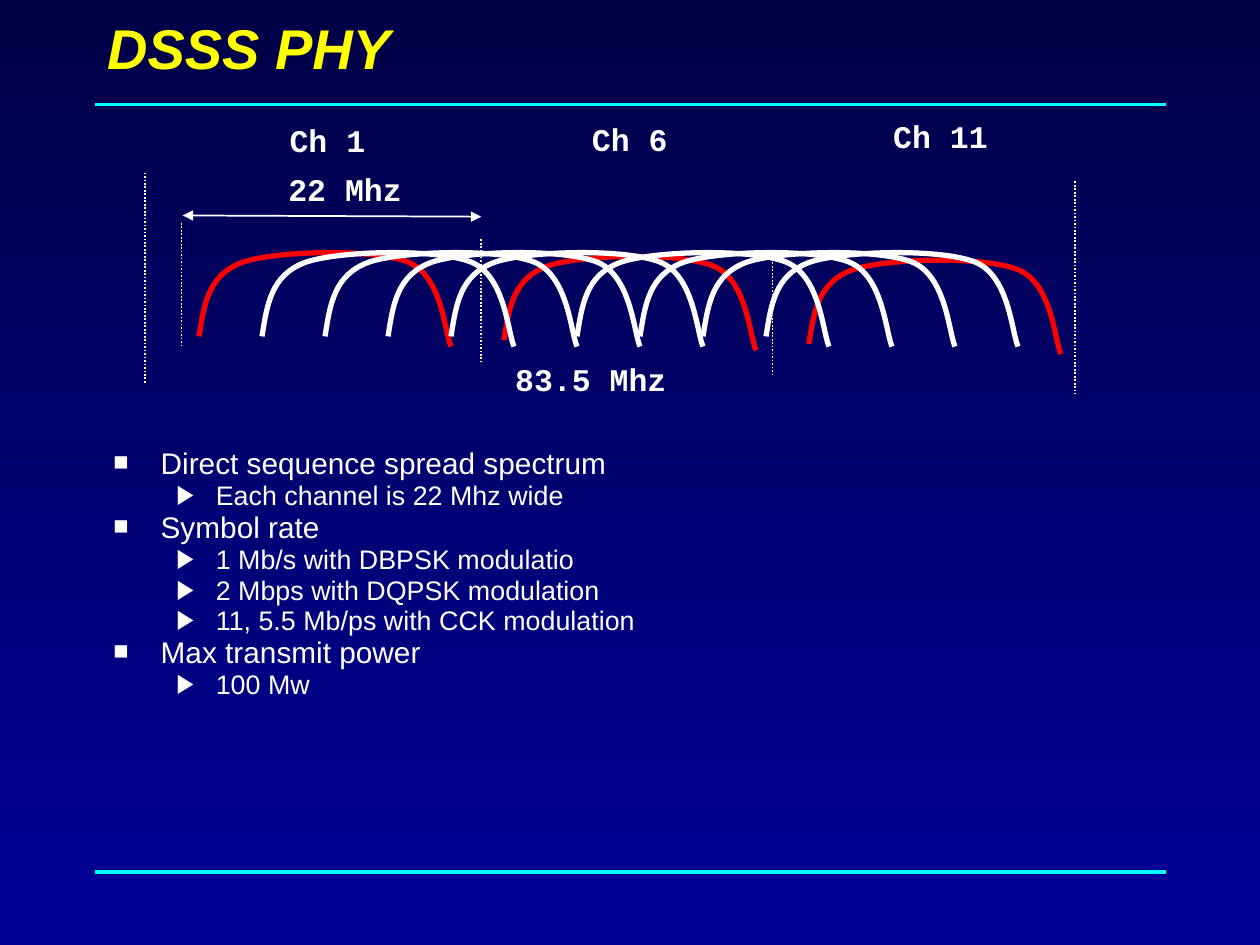
from lxml.etree import SubElement
from pptx import Presentation
from pptx.dml.color import RGBColor
from pptx.enum.dml import MSO_LINE
from pptx.enum.shapes import MSO_CONNECTOR
from pptx.enum.text import MSO_ANCHOR, MSO_AUTO_SIZE, PP_ALIGN
from pptx.oxml.ns import qn
from pptx.util import Inches, Pt

COLS, ROWS = 10, 7.5
WHITE, RED, CYAN, YELLOW = "FFFFFF", "FF0000", "00FFFF", "FFFF00"

# Bezier outline of one channel, measured from its left end and top
CHANNEL = [(0, 0.7), (0.04, 0.45), (0.07, 0.21), (0.35, 0.11), (0.62, 0.02),
           (1.38, 0), (1.66, 0.11), (1.93, 0.22), (1.95, 0.67), (2, 0.78)]

# level: (left margin, hanging indent, size, space before, bullet, bullet percent)
LEVELS = [(3 / 8, 3 / 8, 17, 5, "■", 85), (13 / 16, 5 / 16, 15.3, 4.5, "▶", 100)]

BULLETS = [
    (0, "Direct sequence spread spectrum"),
    (1, "Each channel is 22 Mhz wide"),
    (0, "Symbol rate"),
    (1, "1 Mb/s with DBPSK modulatio"),
    (1, "2 Mbps with DQPSK modulation"),
    (1, "11, 5.5 Mb/ps with CCK modulation"),
    (0, "Max transmit power"),
    (1, "100 Mw"),
]


def rgb(value):
    return RGBColor.from_string(value)


def bend(sp):
    """Turn every three line segments of a freeform into one cubic curve."""
    lines = list(sp._element.iter(qn("a:lnTo")))
    outline = lines[0].getparent()
    for i in range(0, len(lines), 3):
        curve = SubElement(outline, qn("a:cubicBezTo"))
        for segment in lines[i:i + 3]:
            curve.append(segment[0])
            outline.remove(segment)


class Deck:
    """Style and current slide; lengths are grid columns and rows."""

    def __init__(self):
        self.prs = Presentation()
        self.prs.slide_width, self.prs.slide_height = Inches(COLS), Inches(ROWS)
        self.col = self.prs.slide_width / COLS
        self.row = self.prs.slide_height / ROWS
        self.s = self.prs.slides.add_slide(self.prs.slide_layouts[1])

    def at(self, x, y):
        return round(x * self.col), round(y * self.row)

    def background(self, top, bottom):
        fill = self.s.background.fill
        fill.gradient()
        fill.gradient_angle = 270
        for stop, color, position in zip(fill.gradient_stops, (top, bottom), (0, 1)):
            stop.color.rgb = rgb(color)
            stop.position = position

    def place(self, sp, x, y, w, h):
        sp.left, sp.top = self.at(x, y)
        sp.width, sp.height = self.at(w, h)

    def run(self, p, text, size, color=WHITE, font="Arial", bold=False, italic=False):
        r = p.add_run()
        r.text = text
        f = r.font
        f.size, f.name, f.bold, f.italic = Pt(size), font, bold, italic
        f.color.rgb = rgb(color)

    def title(self, text, *box):
        sp = self.s.shapes.title
        self.place(sp, *box)
        tf = sp.text_frame
        tf.vertical_anchor = MSO_ANCHOR.MIDDLE
        tf.auto_size = MSO_AUTO_SIZE.NONE
        p = tf.paragraphs[0]
        p.alignment = PP_ALIGN.LEFT
        self.run(p, text, 32, YELLOW, bold=True, italic=True)

    def bullets(self, items, *box):
        sp = self.s.placeholders[1]
        self.place(sp, *box)
        tf = sp.text_frame
        tf.auto_size = MSO_AUTO_SIZE.NONE
        for i, (level, text) in enumerate(items):
            margin, hang, size, before, char, percent = LEVELS[level]
            p = tf.add_paragraph() if i else tf.paragraphs[0]
            p.level = level
            pPr = p._p.get_or_add_pPr()
            pPr.set("marL", str(Inches(margin)))
            pPr.set("indent", str(-Inches(hang)))
            color = SubElement(pPr, qn("a:buClr"))
            SubElement(color, qn("a:srgbClr"), val=WHITE)
            SubElement(pPr, qn("a:buSzPct"), val=str(percent * 1000))
            SubElement(pPr, qn("a:buFont"), typeface="Arial")
            SubElement(pPr, qn("a:buChar"), char=char)
            p.line_spacing = 0.7
            p.space_before = Pt(before if i else 0)
            self.run(p, text, size)

    def label(self, text, x, y, w):
        tf = self.s.shapes.add_textbox(*self.at(x, y), *self.at(w, 0.4)).text_frame
        tf.word_wrap = False
        tf.auto_size = MSO_AUTO_SIZE.SHAPE_TO_FIT_TEXT
        self.run(tf.paragraphs[0], text, 18, font="Courier New", bold=True)

    def line(self, x1, y1, x2, y2, color=WHITE, width=1, dotted=False, arrows=False):
        cxn = self.s.shapes.add_connector(MSO_CONNECTOR.STRAIGHT,
                                          *self.at(x1, y1), *self.at(x2, y2))
        cxn.line.color.rgb = rgb(color)
        cxn.line.width = Pt(width)
        if dotted:
            cxn.line.dash_style = MSO_LINE.ROUND_DOT
        if arrows:
            ln = cxn.line._get_or_add_ln()
            for end in ("a:headEnd", "a:tailEnd"):
                SubElement(ln, qn(end), type="triangle")
        SubElement(cxn._element.spPr, qn("a:effectLst"))

    def channel(self, shapes, x, y, color):
        start, *rest = [self.at(x + dx, y + dy) for dx, dy in CHANNEL]
        builder = shapes.build_freeform(*start)
        builder.add_line_segments(rest, close=False)
        sp = builder.convert_to_shape()
        bend(sp)
        sp.shadow.inherit = False
        sp.fill.background()
        sp.line.color.rgb = rgb(color)
        sp.line.width = Pt(3)


def main():
    d = Deck()
    d.background("000046", "000099")
    for y in (0.83, 6.92):
        d.line(0.75, y, 9.25, y, CYAN, 2)
    d.title("DSSS PHY", 0.75, 0, 8.5, 0.75)
    d.bullets(BULLETS, 0.8, 3.56, 8.67, 2)

    for x, top, bottom in ((1.44, 1.77, 2.74), (3.82, 1.9, 2.87), (1.15, 1.37, 3.05),
                           (8.53, 1.44, 3.13), (6.13, 2, 2.97)):
        d.line(x, top, x, bottom, dotted=True)
    d.line(1.45, 1.71, 3.82, 1.72, arrows=True)

    for text, x, y, w in (("22 Mhz", 2.19, 1.3, 1.1), ("83.5 Mhz", 3.99, 2.81, 1.4),
                          ("Ch 1", 2.2, 0.91, 0.8), ("Ch 6", 4.6, 0.9, 0.8),
                          ("Ch 11", 6.99, 0.88, 0.95)):
        d.label(text, x, y, w)

    for x, y in ((1.58, 1.97), (4, 2), (6.42, 2.03)):
        d.channel(d.s.shapes, x, y, RED)
    overlapping = d.s.shapes.add_group_shape().shapes
    for first in (2.08, 4.58):
        for i in range(4):
            d.channel(overlapping, first + i * 0.5, 1.97, WHITE)

    d.prs.save("out.pptx")


if __name__ == "__main__":
    main()
